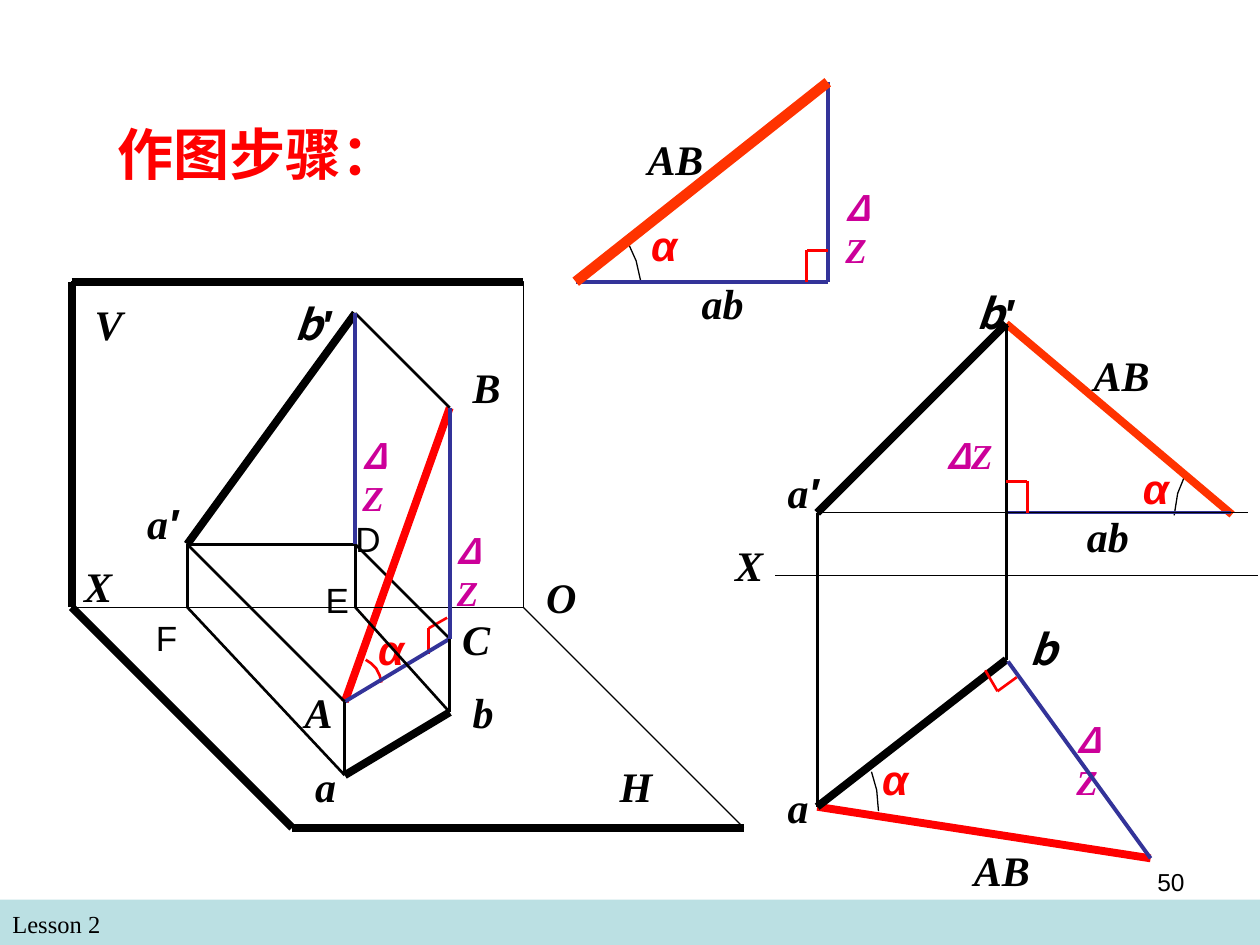
from dataclasses import dataclass
from typing import Union

import lxml.etree
import pptx
import pptx.dml.color
import pptx.enum.shapes
import pptx.enum.text
import pptx.oxml.ns
import pptx.util

Pt = pptx.util.Pt
qn = pptx.oxml.ns.qn
ALIGN = pptx.enum.text.PP_ALIGN
RECT = pptx.enum.shapes.MSO_SHAPE.RECTANGLE
STRAIGHT = pptx.enum.shapes.MSO_CONNECTOR.STRAIGHT

TIMES, ARIAL, CJK = "Times New Roman", "Arial", "Noto Sans CJK SC"
BLACK, RED, ORANGE = "000000", "FF0000", "FF3300"
BLUE, MAGENTA, TEAL = "333399", "CC0099", "BBE0E3"


@dataclass(frozen=True)
class Path:
    points: tuple
    color: str = BLACK
    width: float = 1.5
    joined: bool = False


@dataclass(frozen=True)
class Label:
    x: float
    y: float
    w: float
    runs: tuple
    size: float = 24
    color: str = BLACK
    bold: bool = True
    italic: bool = True
    align: ALIGN = ALIGN.LEFT


@dataclass(frozen=True)
class Box:
    x: float
    y: float
    w: float
    h: float
    fill: str = ""
    line: str = ""


Item = Union[Path, Label, Box]


def rgb(value: str) -> pptx.dml.color.RGBColor:
    return pptx.dml.color.RGBColor.from_string(value)


def path(*points: tuple, color: str = BLACK, width: float = 1.5) -> Path:
    return Path(points, color, width)


def arc(*points: tuple, color: str = BLACK, width: float = 0.75) -> Path:
    return Path(points, color, width, True)


def name(x: float, y: float, text: str, font: str = TIMES) -> Label:
    return Label(x, y, 42, ((text, font),))


def primed(x: float, y: float, text: str, font: str) -> Label:
    return Label(x, y, 42, ((text, font), ("′", ARIAL)))


def edge(x: float, y: float, w: float, text: str) -> Label:
    return Label(x, y, w, ((text, TIMES),), align=ALIGN.CENTER)


def alpha(x: float, y: float) -> Label:
    return Label(x, y, 36, (("α", ARIAL),), color=RED)


def delta(x: float, y: float, w: float = 36, align: ALIGN = ALIGN.LEFT) -> Label:
    return Label(x, y, w, (("Δ", CJK), ("Z", TIMES)), 20, MAGENTA, align=align)


def plain(x: float, y: float, w: float, text: str, size: float = 20,
          font: str = ARIAL, align: ALIGN = ALIGN.LEFT) -> Label:
    return Label(x, y, w, ((text, font),), size, bold=False, italic=False, align=align)


def draw_path(s, item: Path) -> None:
    if item.joined:
        pts = [(Pt(x), Pt(y)) for x, y in item.points]
        fb = s.shapes.build_freeform(*pts[0], scale=1.0)
        fb.add_line_segments(pts[1:], close=False)
        sp = fb.convert_to_shape()
        sp.shadow.inherit = False
        sp.fill.background()
        strokes = [sp]
    else:
        strokes = [s.shapes.add_connector(STRAIGHT, *map(Pt, start + end))
                   for start, end in zip(item.points, item.points[1:])]
    for sp in strokes:
        sp.line.color.rgb = rgb(item.color)
        sp.line.width = Pt(item.width)
        if not item.joined:
            lxml.etree.SubElement(sp._element.spPr, qn("a:effectLst"))


def draw_label(s, item: Label) -> None:
    sp = s.shapes.add_textbox(Pt(item.x), Pt(item.y), Pt(item.w), Pt(item.size * 1.5))
    tf = sp.text_frame
    tf.word_wrap = True
    p = tf.paragraphs[0]
    p.alignment = item.align
    for text, font in item.runs:
        r = p.add_run()
        r.text = text
        r.font.name = font
        r.font.size = Pt(item.size)
        r.font.bold = item.bold
        r.font.italic = item.italic
        r.font.color.rgb = rgb(item.color)
        lxml.etree.SubElement(r._r.rPr, qn("a:ea")).set("typeface", CJK)


def draw_box(s, item: Box) -> None:
    sp = s.shapes.add_shape(RECT, Pt(item.x), Pt(item.y), Pt(item.w), Pt(item.h))
    sp.shadow.inherit = False
    sp.fill.background()
    sp.line.fill.background()
    if item.fill:
        sp.fill.solid()
        sp.fill.fore_color.rgb = rgb(item.fill)
    if item.line:
        sp.line.color.rgb = rgb(item.line)
        sp.line.width = Pt(0.75)


def draw(s, items: list[Item]) -> None:
    drawers = {Path: draw_path, Label: draw_label, Box: draw_box}
    for item in items:
        drawers[type(item)](s, item)


def frame() -> list[Item]:
    return [
        Box(0, 514, 720, 26, fill=TEAL),
        plain(0, 516, 348, "Lesson 2", 14, TIMES),
        Label(60, 65, 190, (("作图步骤：", TIMES),), 32, RED, italic=False),
        plain(516, 492, 168, "50", 14, align=ALIGN.RIGHT),
    ]


def space_view() -> list[Item]:
    v_left, v_right, x_left, x_right = (41, 161), (299, 161), (41, 347), (299, 347)
    h_left, h_right = (167, 473), (425, 473)
    A, B, C, D, E, F = (197, 401), (257, 233), (257, 365), (203, 311), (203, 347), (107, 347)
    a, b, a_v, b_v = (197, 443), (257, 407), (107, 311), (203, 179)
    return [
        arc((209, 377), (212, 379), (215, 382), (217, 386), (218, 390), color=RED, width=1.5),
        alpha(209, 353),
        path((255.5, 353), (245, 359), (245, 374), color=RED),
        path(a_v, D, C),
        name(167, 389, "A"), name(263, 203, "B"),
        path(B, A, color=RED, width=4.5),
        path(A, C, color=BLUE, width=2.25),
        name(257, 347, "C"),
        Box(*v_left, 258, 186, line=BLACK),
        path(x_left, h_left, h_right, width=4.5),
        path(x_right, h_right, width=0.75),
        name(41, 317, "X"), name(305, 323, "O"),
        path(x_left, v_left, v_right, width=4.5),
        name(47, 167, "V"), name(347, 431, "H"),
        path(b_v, E), path(F, a),
        path(b_v, a_v, width=4.5),
        path(b_v, B), path(a_v, A),
        primed(161, 167, "b", CJK), primed(77, 281, "a", TIMES),
        path(a_v, F), path(b, E),
        path(a, b, width=4.5),
        path(A, a), path(B, b),
        name(173, 431, "a"), name(263, 389, "b"),
        delta(254, 299), path(B, C, color=BLUE, width=2.25),
        delta(200, 245), path(b_v, D, color=BLUE, width=2.25),
        plain(196, 292, 51, "D"), plain(179, 327, 51, "E"), plain(82, 349, 51, "F"),
    ]


def length_triangle() -> list[Item]:
    left, corner, top = (329, 161), (473, 161), (473, 47)
    return [
        arc((359, 139), (363.5, 149), (366, 160)),
        path(corner, left, color=BLUE, width=2.25),
        path(top, corner, color=BLUE, width=2.25),
        path(left, top, color=ORANGE, width=6),
        alpha(365, 122), edge(359, 73, 54, "AB"), edge(377, 155, 72, "ab"),
        delta(476, 103),
        path((473, 143), (461, 143), (461, 161), color=RED),
    ]


def two_views() -> list[Item]:
    a, b, a_v, b_v = (467, 461), (575, 377), (467, 293), (575, 185)
    foot, v_end, h_end = (575, 293), (704, 294), (657.5, 490.5)
    return [
        alpha(497, 427), arc((498, 441), (501, 451.5), (502, 463.5)),
        path(a, h_end, color=RED, width=4.5), edge(545, 479, 55, "AB"),
        alpha(646, 261), arc((677, 272), (673, 282), (671, 294.5)),
        path(b_v, v_end, color=ORANGE, width=4.5), edge(608, 196, 66, "AB"),
        delta(527, 245, 54, ALIGN.CENTER),
        path(foot, (703.5, 293), color=BLUE), edge(603, 288, 60, "ab"),
        name(581, 353, "b", CJK),
        path((443, 329), (719, 329), width=0.75),
        delta(608, 407), name(413, 305, "X"), name(443, 443, "a"),
        path(a, b, width=4.5),
        path(a, a_v), path(b, b_v),
        path(a_v, b_v, width=4.5),
        primed(551, 161, "b", CJK), primed(443, 263, "a", TIMES),
        path((713, 293), a_v, width=0.75),
        path((575, 275), (587, 275), (587, 293), color=RED),
        path((576, 378), h_end, color=BLUE, width=2.25),
        path((563, 383), (570, 395), (581, 387), color=RED),
    ]


def main() -> None:
    prs = pptx.Presentation()
    prs.slide_width, prs.slide_height = Pt(720), Pt(540)
    s = prs.slides.add_slide(prs.slide_layouts[6])
    for part in (frame, space_view, two_views, length_triangle):
        draw(s, part())
    prs.save("out.pptx")


if __name__ == "__main__":
    main()
